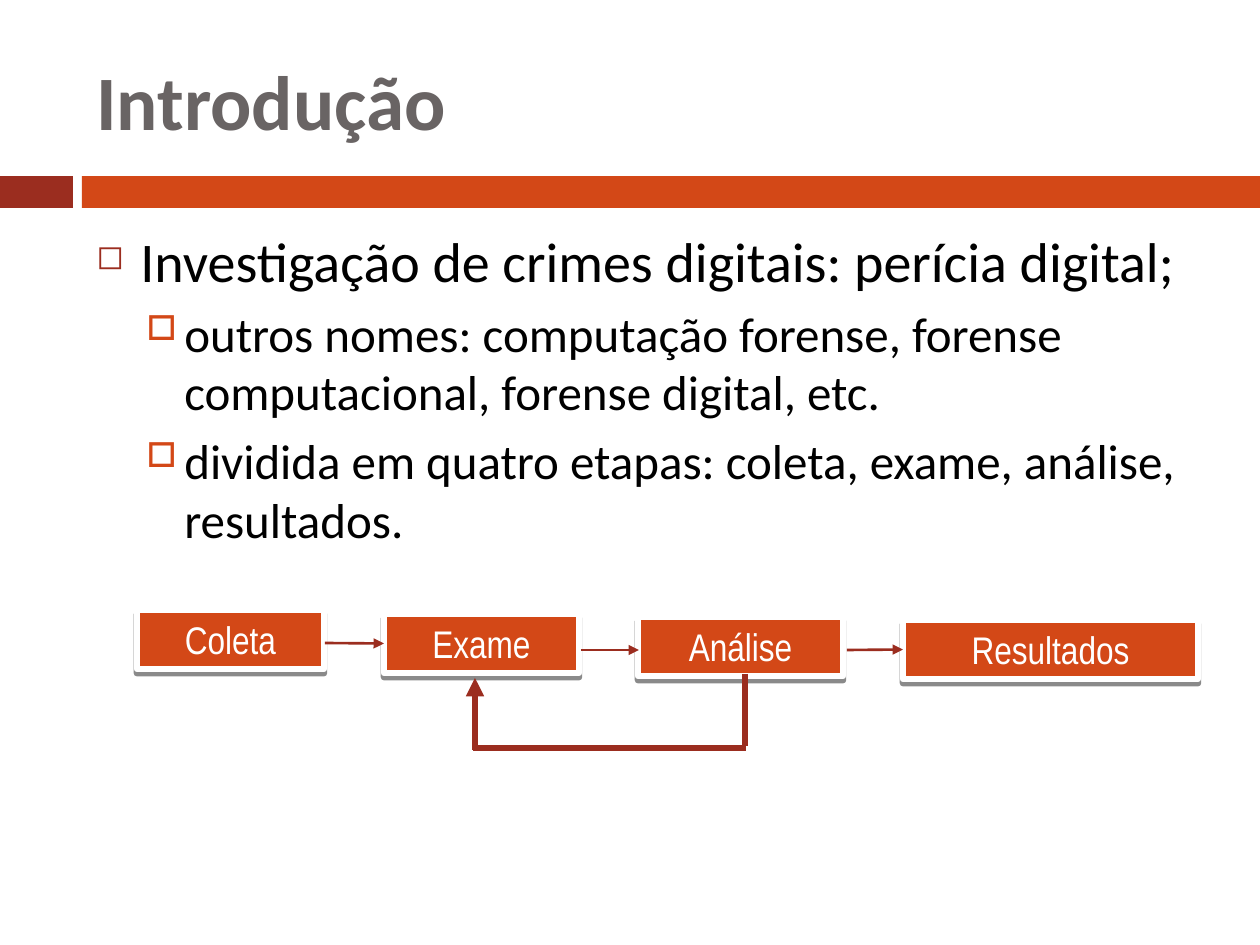
from lxml import etree
from pptx import Presentation
from pptx.dml.color import RGBColor
from pptx.enum.shapes import MSO_CONNECTOR, MSO_SHAPE
from pptx.enum.text import MSO_ANCHOR, PP_ALIGN
from pptx.oxml import parse_xml
from pptx.oxml.ns import qn
from pptx.util import Emu, Pt

C = {k: RGBColor.from_string(v) for k, v in {
    "red": "9B2D1F", "orange": "D34817", "gray": "696464",
    "white": "FFFFFF", "black": "000000"}.items()}
NS = 'xmlns:a="http://schemas.openxmlformats.org/drawingml/2006/main"'
SHADOW = (f'<a:effectLst {NS}><a:outerShdw blurRad="0" dist="30480" dir="5400000">'
          '<a:srgbClr val="000000"><a:alpha val="45000"/></a:srgbClr>'
          '</a:outerShdw></a:effectLst>')


def px(*values):
    return [Emu(round(v * 914400 / 126)) for v in values]


def add_run(p, text, font, size, color, bold=False):
    r = p.add_run()
    r.text = text
    r.font.name = font
    r.font.size = Pt(size)
    r.font.bold = bold
    r.font.color.rgb = C[color]


prs = Presentation()
prs.slide_width, prs.slide_height = px(1260, 945)
s = prs.slides.add_slide(prs.slide_layouts[6])

for x, w, color in [(0, 73, "red"), (82, 1178, "orange")]:
    sp = s.shapes.add_shape(MSO_SHAPE.RECTANGLE, *px(x, 176, w, 32))
    sp.shadow.inherit = False
    sp.fill.solid()
    sp.fill.fore_color.rgb = C[color]
    sp.line.fill.background()

tf = s.shapes.add_textbox(*px(84, 220, 1124, 685)).text_frame
tf.word_wrap = True
items = [
    (0, "Investigação de crimes digitais: perícia digital;"),
    (1, "outros nomes: computação forense, forense computacional, forense digital, etc."),
    (1, "dividida em quatro etapas: coleta, exame, análise, resultados."),
]
levels = [(44, 44, 32, "◻", "red", 60), (88, 38, 28, "□", "orange", 70)]
for i, (level, text) in enumerate(items):
    margin, hang, size, bullet, color, scale = levels[level]
    p = tf.add_paragraph() if i else tf.paragraphs[0]
    p.level = level
    p.space_before = Pt(5.5 if i else 0)
    pPr = p._p.get_or_add_pPr()
    pPr.set("marL", str(px(margin)[0]))
    pPr.set("indent", str(-px(hang)[0]))
    clr = etree.SubElement(pPr, qn("a:buClr"))
    etree.SubElement(clr, qn("a:srgbClr"), val=str(C[color]))
    etree.SubElement(pPr, qn("a:buSzPct"), val=str(scale * 1000))
    etree.SubElement(pPr, qn("a:buChar"), char=bullet)
    add_run(p, text, "Calibri", size, "black")

steps = {}
for name, x, y, w in [("Coleta", 137, 610, 187), ("Exame", 384, 614, 195),
                      ("Análise", 638, 617, 205), ("Resultados", 903, 620, 295)]:
    sp = s.shapes.add_shape(MSO_SHAPE.RECTANGLE, *px(x, y, w, 59))
    sp.fill.solid()
    sp.fill.fore_color.rgb = C["orange"]
    sp.line.color.rgb = C["white"]
    sp.line.width = Pt(3.75)
    sp._element.spPr.append(parse_xml(SHADOW))
    tf = sp.text_frame
    tf.word_wrap = True
    tf.vertical_anchor = MSO_ANCHOR.MIDDLE
    p = tf.paragraphs[0]
    p.alignment = PP_ALIGN.CENTER
    add_run(p, name, "Arial Narrow", 22, "white")
    steps[name] = sp

loop = s.shapes.add_group_shape()
for shapes, x1, y1, x2, y2, width, arrow, target in [
    (s.shapes, 325, 643, 383, 643, 1.5, "tailEnd", "Exame"),
    (s.shapes, 581, 650, 639, 650, 1.5, "tailEnd", None),
    (s.shapes, 847, 650, 906, 650, 1.5, "tailEnd", "Resultados"),
    (loop.shapes, 475, 678, 475, 750, 3.5, "headEnd", None),
    (loop.shapes, 745, 674, 745, 746, 3.5, None, None),
    (loop.shapes, 473, 748, 746, 748, 3.5, None, None),
]:
    cn = shapes.add_connector(MSO_CONNECTOR.STRAIGHT, *px(x1, y1, x2, y2))
    cn.line.color.rgb = C["red"]
    cn.line.width = Pt(width)
    if arrow:
        etree.SubElement(cn.line._get_or_add_ln(), qn(f"a:{arrow}"), type="triangle")
    etree.SubElement(cn._element.spPr, qn("a:effectLst"))
    if target:
        cn.end_connect(steps[target], 1)

tf = s.shapes.add_textbox(*px(84, 32, 1124, 136)).text_frame
tf.word_wrap = True
tf.vertical_anchor = MSO_ANCHOR.MIDDLE
add_run(tf.paragraphs[0], "Introdução", "Calibri", 44, "gray", True)

prs.save("out.pptx")
